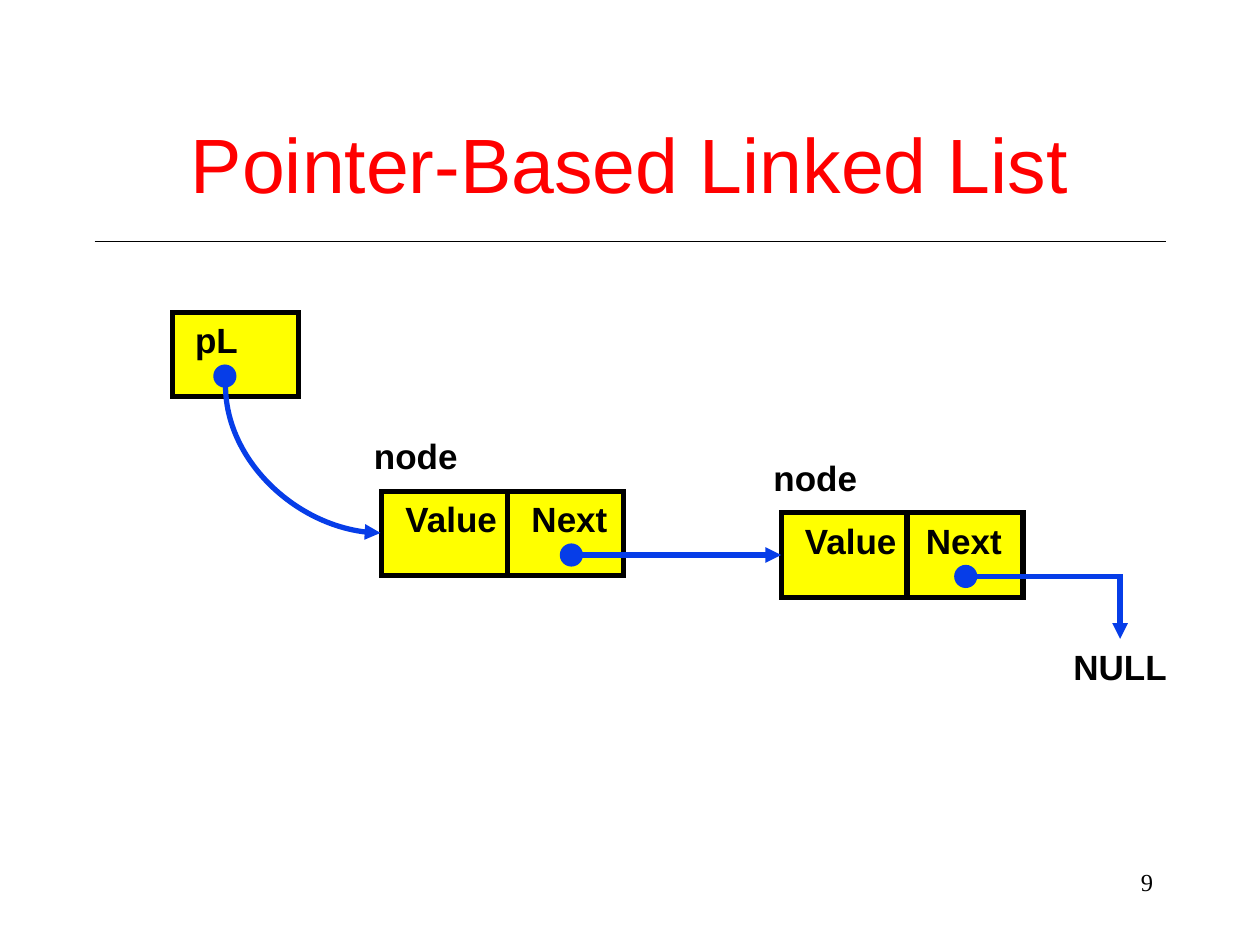
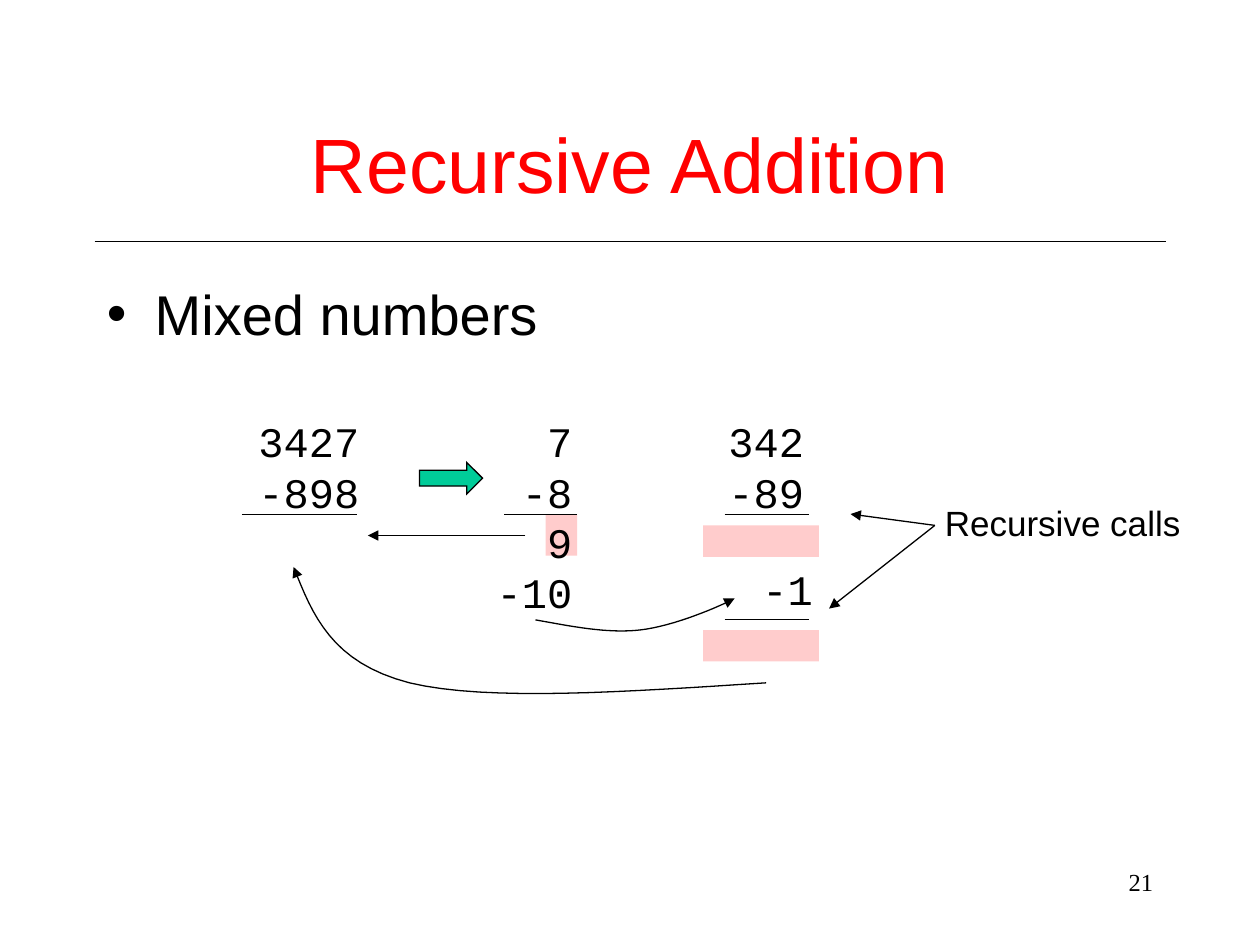
from lxml import etree
from pptx import Presentation
from pptx.dml.color import RGBColor
from pptx.enum.shapes import MSO_CONNECTOR, MSO_SHAPE
from pptx.enum.text import MSO_ANCHOR, MSO_AUTO_SIZE, PP_ALIGN
from pptx.oxml.ns import qn
from pptx.util import Inches, Pt

STRAIGHT, ELBOW, CURVE = MSO_CONNECTOR.STRAIGHT, MSO_CONNECTOR.ELBOW, MSO_CONNECTOR.CURVE
RECTANGLE, OVAL, RIGHT_ARROW = MSO_SHAPE.RECTANGLE, MSO_SHAPE.OVAL, MSO_SHAPE.RIGHT_ARROW
LEFT, CENTER, RIGHT = PP_ALIGN.LEFT, PP_ALIGN.CENTER, PP_ALIGN.RIGHT
LEFT_SIDE = 1
TITLE_ONLY = 5

BLACK, RED, YELLOW, BLUE = "000000", "FF0000", "FFFF00", "063DE8"
PINK, GREEN = "FFCCCC", "00CC99"

TITLE = dict(name="Arial", size=Pt(44), color=RED)
BULLET = dict(name="Arial", size=Pt(32), color=BLACK)
NODE_LABEL = dict(name="Arial", size=Pt(20), color=BLACK, bold=True)
CALLOUT = dict(name="Arial", size=Pt(20), color=BLACK)
DIGITS = dict(name="Courier New", size=Pt(24), color=BLACK)
PAGE_NUMBER = dict(name="Times New Roman", size=Pt(14), color=BLACK)

# Horizontal rules lie on a grid of twelfths of an inch
TITLE_RULE, UPPER_RULE, LOWER_RULE = 23 / 12, 49 / 12, 59 / 12

# Linked list: left, top of the node, then offsets of "Next" and its dot in the second cell
NODES = [(3.03, 3.9, 0.09, 0.42), (6.2, 4.07, 0.05, 0.38)]
HEAD_LEFT, HEAD_TOP = 1.37, 2.48
VALUE_WIDTH, NEXT_WIDTH, CELL_HEIGHT = 1, 0.92, 0.67
DOT_SIZE, DOT_DROP = 0.17, 0.42

# Subtraction: box, lines of digits
DIGIT_COLUMNS = [
    ((1.55, 3.25, 1.4, 0.9), ["3427", "-898"]),
    ((3.64, 3.25, 1, 1.7), ["7", "-8", "9", "-10"]),
    ((5.08, 3.25, 1.4, 0.9), ["342", "-89"]),
    ((5.75, 4.42, 0.8, 0.5), ["-1"]),
]
RESULT_BOXES = [(4.33, 4.08, 0.25, 0.33), (5.58, 4.17, 0.92, 0.25), (5.58, 5, 0.92, 0.25)]
SUM_RULES = [(1.92, 2.83, UPPER_RULE), (4, 4.58, UPPER_RULE),
             (5.75, 6.42, UPPER_RULE), (5.75, 6.42, LOWER_RULE)]
CALL_START = (7.42, 4.17)
ARROWS = [
    ((4.17, 4.25), (2.92, 4.25)),
    (CALL_START, (6.75, 4.08)),
    (CALL_START, (6.58, 4.83)),
]
# Start point, then cubic pieces of two control points and an end point
CURVED_ARROWS = [
    ((6.08, 5.42), [((4.98, 5.49), (3.88, 5.57), (3.25, 5.42)),
                    ((2.63, 5.26), (2.48, 4.88), (2.33, 4.5))]),
    ((4.25, 4.92), [((4.53, 4.97), (4.82, 5.03), (5.08, 5)),
                    ((5.35, 4.97), (5.72, 4.81), (5.83, 4.75))]),
]
CURVE_STEPS = 16


def rgb(value):
    return RGBColor.from_string(value)


def inches(values):
    return [Inches(value) for value in values]


def write_lines(text_frame, lines, style, alignment):
    for index, line in enumerate(lines):
        paragraph = text_frame.paragraphs[0] if index == 0 else text_frame.add_paragraph()
        paragraph.alignment = alignment
        run = paragraph.add_run()
        run.text = line
        for attribute, value in style.items():
            if attribute == "color":
                run.font.color.rgb = rgb(value)
            else:
                setattr(run.font, attribute, value)


def add_text(slide, box, lines, style, alignment=LEFT, wrap=False):
    text_frame = slide.shapes.add_textbox(*inches(box)).text_frame
    text_frame.word_wrap = wrap
    text_frame.auto_size = MSO_AUTO_SIZE.NONE if wrap else MSO_AUTO_SIZE.SHAPE_TO_FIT_TEXT
    write_lines(text_frame, lines, style, alignment)
    return text_frame


def set_line(shape, color, width, arrow):
    """Give a shape a line with sharp corners and, if asked, an arrowhead at its end."""
    shape.line.color.rgb = rgb(color)
    shape.line.width = Pt(width)
    outline = shape.element.spPr.find(qn("a:ln"))
    etree.SubElement(outline, qn("a:miter"), lim="800000")
    if arrow:
        etree.SubElement(outline, qn("a:tailEnd"), type="triangle")


def add_shape(slide, kind, box, fill, line=None, width=0.75):
    shape = slide.shapes.add_shape(kind, *inches(box))
    shape.shadow.inherit = False
    shape.fill.solid()
    shape.fill.fore_color.rgb = rgb(fill)
    if line:
        set_line(shape, line, width, False)
    else:
        shape.line.fill.background()
    return shape


def add_line(slide, start, end, color=BLACK, width=0.75, arrow=False, kind=STRAIGHT, preset=None):
    connector = slide.shapes.add_connector(kind, *inches(start + end))
    set_line(connector, color, width, arrow)
    properties = connector.element.spPr
    etree.SubElement(properties, qn("a:effectLst"))
    if preset:
        properties.find(qn("a:prstGeom")).set("prst", preset)
    return connector


def add_curved_arrow(slide, start, pieces):
    """Draw cubic pieces as an open outline of short segments."""
    points, here = [], start
    for first, second, end in pieces:
        for step in range(1, CURVE_STEPS + 1):
            t = step / CURVE_STEPS
            weights = ((1 - t) ** 3, 3 * t * (1 - t) ** 2, 3 * t * t * (1 - t), t ** 3)
            corners = (here, first, second, end)
            points.append(inches(
                sum(weight * corner[axis] for weight, corner in zip(weights, corners))
                for axis in (0, 1)))
        here = end
    builder = slide.shapes.build_freeform(*inches(start))
    builder.add_line_segments(points, close=False)
    shape = builder.convert_to_shape()
    shape.shadow.inherit = False
    shape.fill.background()
    set_line(shape, BLACK, 0.75, True)


def add_slide(presentation, title_text, number):
    """Add a slide with the shared title, rule and page number."""
    slide = presentation.slides.add_slide(presentation.slide_layouts[TITLE_ONLY])
    add_line(slide, (0.75, TITLE_RULE), (9.25, TITLE_RULE))
    add_text(slide, (7.17, 6.83, 2.08, 0.5), [number], PAGE_NUMBER, RIGHT, wrap=True)
    title = slide.shapes.title
    title.left, title.top, title.width, title.height = inches((0.75, 0.67, 8.5, 1.25))
    title.text_frame.vertical_anchor = MSO_ANCHOR.MIDDLE
    title.text_frame.auto_size = MSO_AUTO_SIZE.NONE
    write_lines(title.text_frame, [title_text], TITLE, CENTER)
    return slide


def add_cell(slide, left, top, width):
    return add_shape(slide, RECTANGLE, (left, top, width, CELL_HEIGHT), YELLOW, BLACK, 3)


def add_dot(slide, left, cell_top):
    """Add a pointer's dot and return the middle of its right side."""
    top = cell_top + DOT_DROP
    add_shape(slide, OVAL, (left, top, DOT_SIZE, DOT_SIZE), BLUE, BLUE, 1)
    return left + DOT_SIZE, top + DOT_SIZE / 2


def add_node(slide, left, top, next_offset, dot_offset):
    """Add a two-cell node; return its value cell and where its pointer starts."""
    next_left = left + VALUE_WIDTH
    value_cell = add_cell(slide, left, top, VALUE_WIDTH)
    add_cell(slide, next_left, top, NEXT_WIDTH)
    add_text(slide, (left + 0.09, top, 0.94, 0.44), ["Value"], NODE_LABEL)
    add_text(slide, (next_left + next_offset, top, 0.8, 0.44), ["Next"], NODE_LABEL)
    add_text(slide, (left - 0.16, top - 0.5, 0.9, 0.44), ["node"], NODE_LABEL)
    return value_cell, add_dot(slide, next_left + dot_offset, top)


def build_linked_list(presentation):
    slide = add_slide(presentation, "Pointer-Based Linked List", "9")
    pointer = dict(color=BLUE, width=3, arrow=True)
    add_cell(slide, HEAD_LEFT, HEAD_TOP, VALUE_WIDTH)
    add_text(slide, (HEAD_LEFT + 0.08, HEAD_TOP, 0.56, 0.44), ["pL"], NODE_LABEL)
    add_dot(slide, HEAD_LEFT + 0.33, HEAD_TOP)
    (_, first_start), (second_cell, second_start) = [add_node(slide, *node) for node in NODES]

    to_second = add_line(slide, first_start, (NODES[1][0], first_start[1]), **pointer)
    to_second.end_connect(second_cell, LEFT_SIDE)

    # A mirrored quarter curve, turned by 270 degrees to leave the dot downwards
    to_first = add_line(slide, (2.99, 3.03), (1.82, 4.26), kind=CURVE,
                        preset="curvedConnector2", **pointer)
    to_first.element.spPr.find(qn("a:xfrm")).set("rot", str(270 * 60000))

    add_line(slide, second_start, (8.89, 5.07), kind=ELBOW, preset="bentConnector2", **pointer)
    add_text(slide, (8.42, 5.07, 0.94, 0.44), ["NULL"], NODE_LABEL)


def build_subtraction(presentation):
    slide = add_slide(presentation, "Recursive Addition", "21")
    for box in RESULT_BOXES:
        add_shape(slide, RECTANGLE, box, PINK)

    body = add_text(slide, (0.75, 2.17, 8.5, 0.75), ["Mixed numbers"], BULLET, wrap=True)
    properties = body.paragraphs[0]._p.get_or_add_pPr()
    properties.set("marL", str(Inches(0.38)))
    properties.set("indent", str(-Inches(0.38)))
    etree.SubElement(properties, qn("a:buFont"), typeface="Arial")
    etree.SubElement(properties, qn("a:buChar"), char="•")

    for box, lines in DIGIT_COLUMNS:
        add_text(slide, box, lines, DIGITS, RIGHT, wrap=True)
    for left, right, top in SUM_RULES:
        add_line(slide, (left, top), (right, top))
    for start, pieces in CURVED_ARROWS:
        add_curved_arrow(slide, start, pieces)
    for start, end in ARROWS:
        add_line(slide, start, end, arrow=True)
    add_shape(slide, RIGHT_ARROW, (3.33, 3.67, 0.5, 0.25), GREEN, BLACK)
    add_text(slide, (7.4, 3.93, 2.07, 0.44), ["Recursive calls"], CALLOUT)


def main():
    presentation = Presentation()
    presentation.slide_width, presentation.slide_height = inches((10, 7.5))
    build_linked_list(presentation)
    build_subtraction(presentation)
    presentation.save("out.pptx")


if __name__ == "__main__":
    main()
